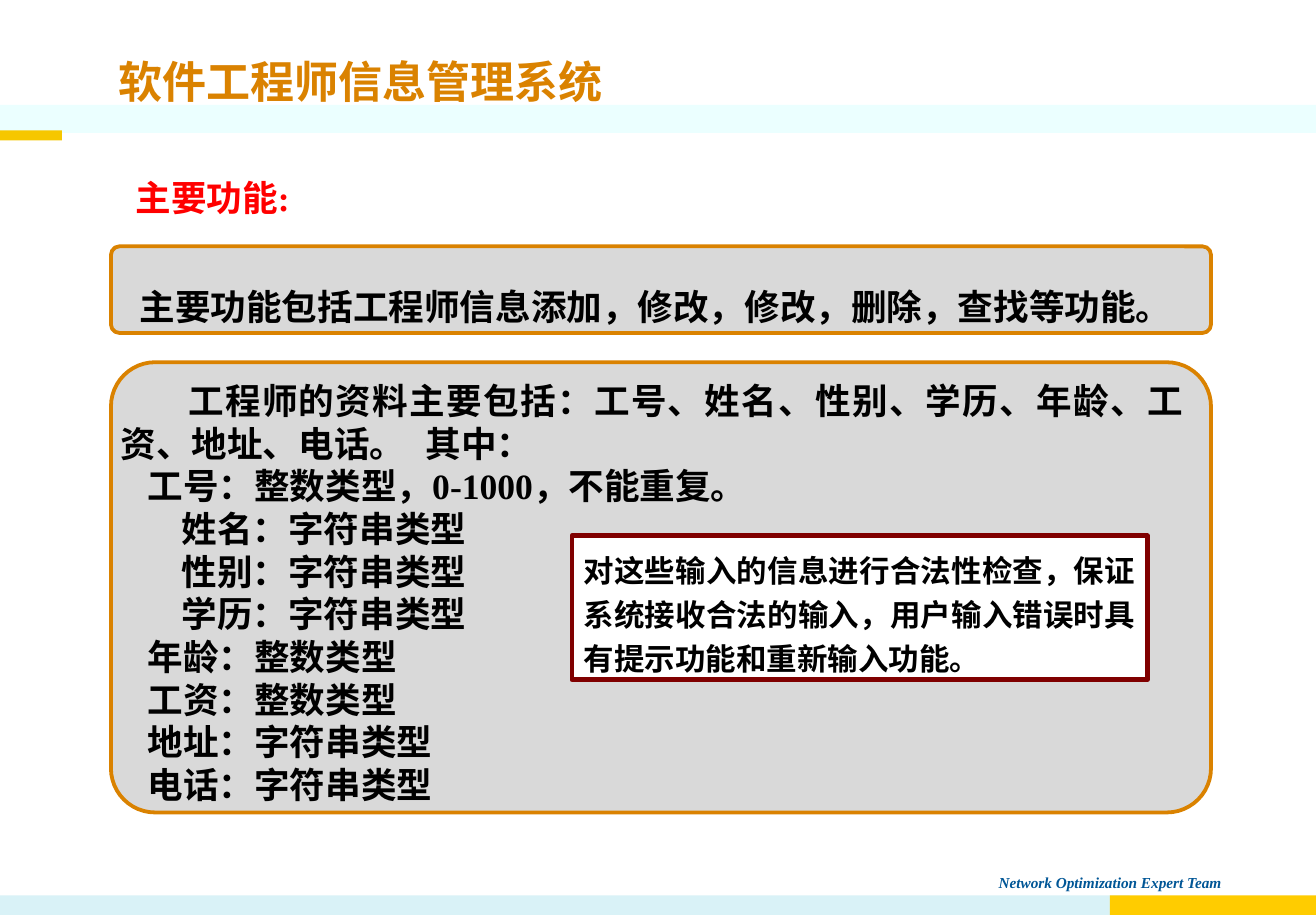
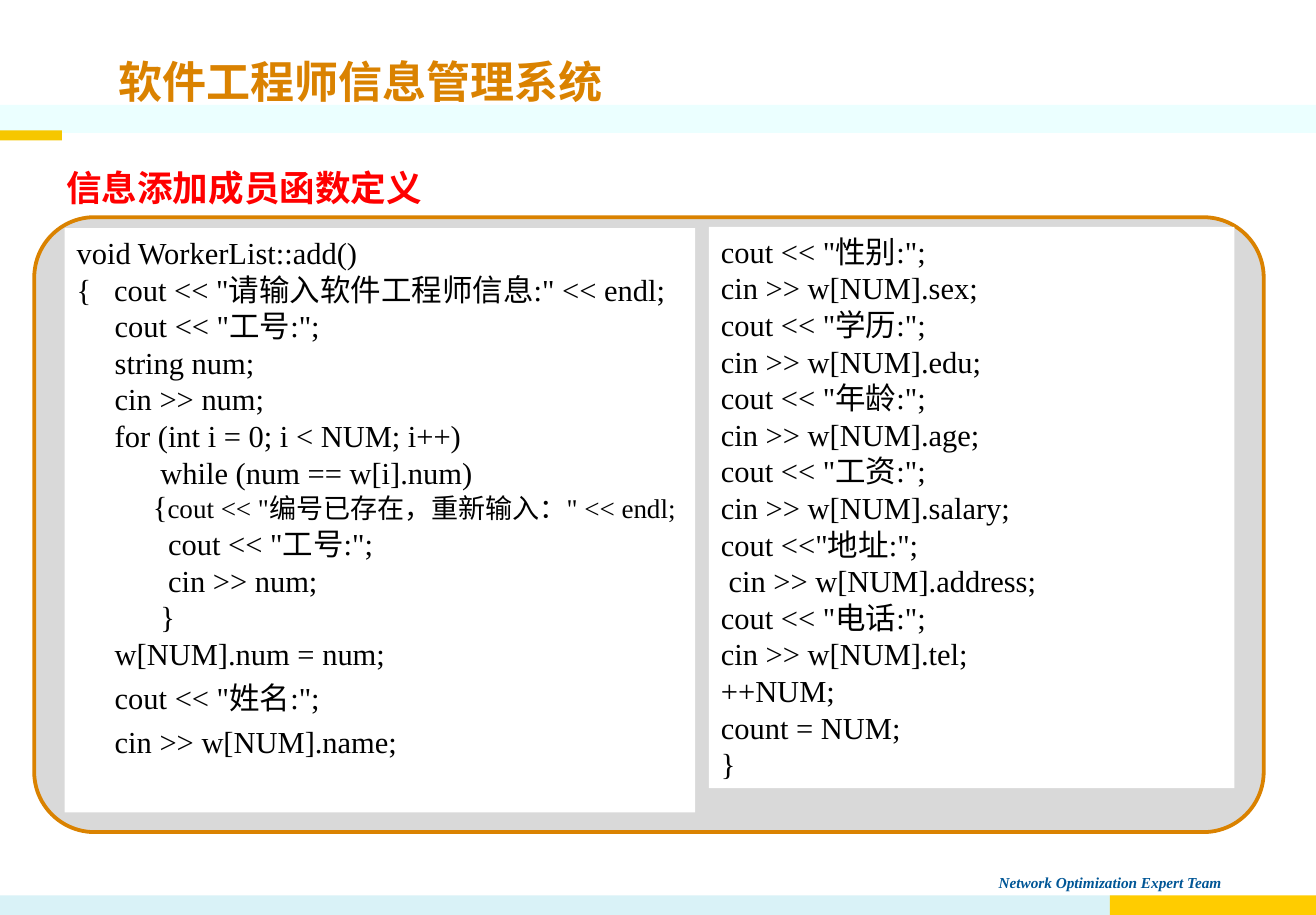
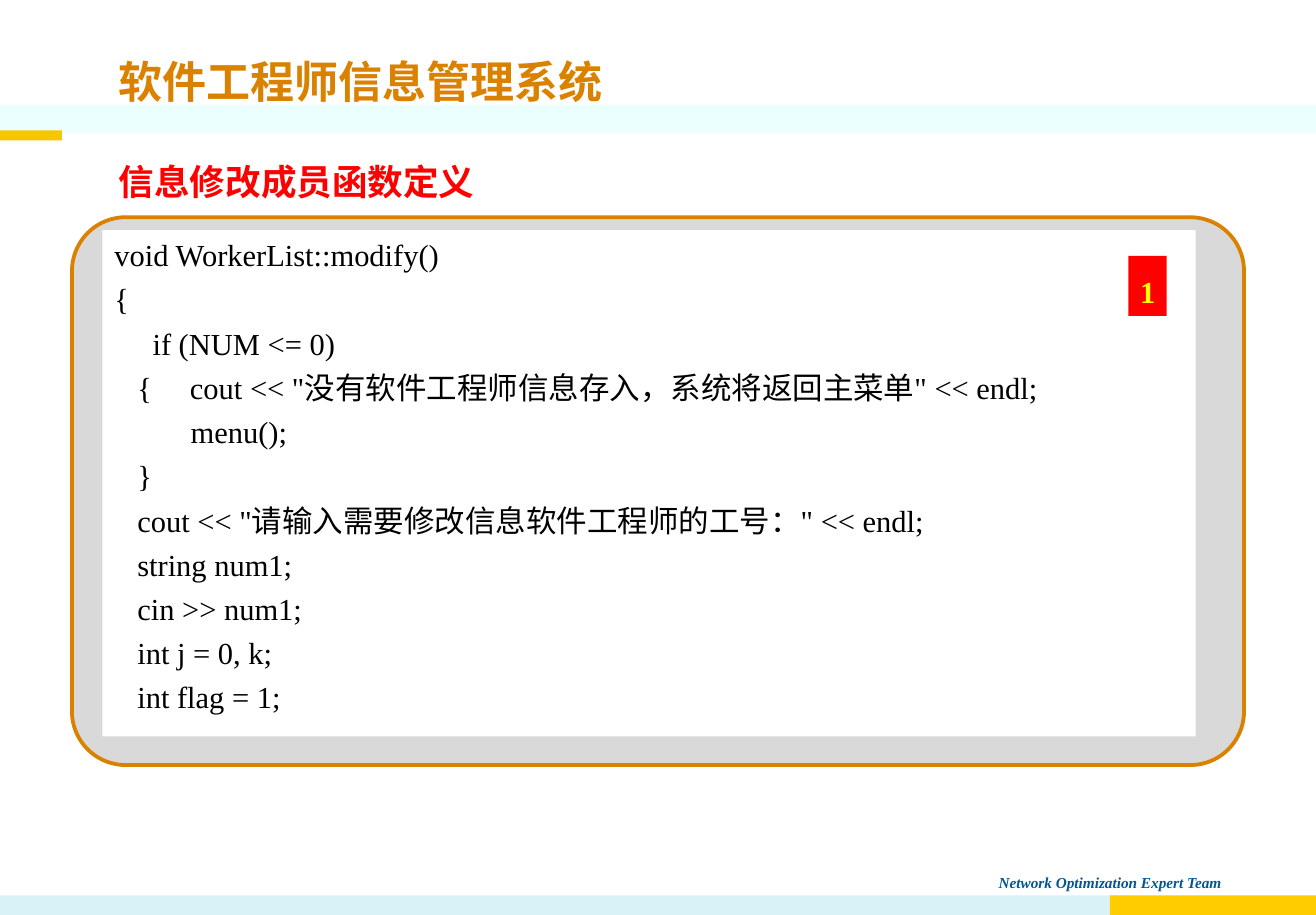
import pptx
import pptx.util
import pptx.dml.color
import pptx.enum.shapes
import pptx.enum.text
import pptx.oxml.ns
import lxml.etree

Pt = pptx.util.Pt
SHAPE = pptx.enum.shapes.MSO_SHAPE
ALIGN = pptx.enum.text.PP_ALIGN
qn = pptx.oxml.ns.qn

LATIN, CJK = "Times New Roman", "Noto Sans CJK SC"
ORANGE, RED, BLACK, WHITE, GREY = "DA8200", "FF0000", "000000", "FFFFFF", "D9D9D9"
TITLE = "软件工程师信息管理系统"
SLIDE_W, SLIDE_H = 776.9, 540


def add_box(slide, left, top, width, height, fill=None, line=None, line_width=2.25,
            rounded=False, insets=(7.2, 3.6, 7.2, 3.6)):
    """Add a rectangle, a rounded panel or, without fill, a text box."""
    place = [Pt(n) for n in (left, top, width, height)]
    if fill:
        kind = SHAPE.ROUNDED_RECTANGLE if rounded else SHAPE.RECTANGLE
        box = slide.shapes.add_shape(kind, *place)
        box.shadow.inherit = False
        box.fill.solid()
        box.fill.fore_color.rgb = pptx.dml.color.RGBColor.from_string(fill)
        if rounded:
            box.adjustments[0] = 0.098
        if line:
            box.line.color.rgb = pptx.dml.color.RGBColor.from_string(line)
            box.line.width = Pt(line_width)
        else:
            box.line.fill.background()
    else:
        box = slide.shapes.add_textbox(*place)
    frame = box.text_frame
    frame.word_wrap = True
    frame.vertical_anchor = pptx.enum.text.MSO_ANCHOR.TOP
    frame.margin_left, frame.margin_top, frame.margin_right, frame.margin_bottom = map(Pt, insets)
    return box


def write(shape, text, size=18, color=BLACK, bold=False, italic=False, font=LATIN,
          align=ALIGN.LEFT, spacing=None, before=0, margin=0, indent=0, tab=None, joined=False):
    """Write one paragraph, or with joined one more run of the last paragraph."""
    frame = shape.text_frame
    paragraph = frame.paragraphs[-1]
    if not joined:
        if paragraph.runs:
            paragraph = frame.add_paragraph()
        properties = paragraph._p.get_or_add_pPr()
        properties.set("marL", str(Pt(margin)))
        properties.set("indent", str(Pt(indent)))
        if tab:
            stops = lxml.etree.SubElement(properties, qn("a:tabLst"))
            lxml.etree.SubElement(stops, qn("a:tab"), pos=str(Pt(tab)), algn="l")
        paragraph.alignment = align
        paragraph.line_spacing = Pt(spacing or size * 1.2)
        paragraph.space_before = Pt(before)
    run = paragraph.add_run()
    run.text = text
    run.font.size = Pt(size)
    run.font.bold = bold
    run.font.italic = italic
    run.font.color.rgb = pptx.dml.color.RGBColor.from_string(color)
    run.font.name = font
    lxml.etree.SubElement(run._r.get_or_add_rPr(), qn("a:ea"), typeface=CJK)


deck = pptx.Presentation()
deck.slide_width, deck.slide_height = Pt(SLIDE_W), Pt(SLIDE_H)
layout = deck.slide_layouts[5]
features, adding, modifying = [deck.slides.add_slide(layout) for _ in range(3)]

# Shared bands and footer, built once and moved to the layout
bands = [
    add_box(features, 0, 61.9, SLIDE_W, 16.6, "EBFFFF"),
    add_box(features, 0, 528.5, 667, 11.5, "D9F2F7"),
    add_box(features, 655.2, 528.5, SLIDE_W - 655.2, 11.5, "FFCC00"),
    add_box(features, 0, 77, 36.5, 5.8, "F6C700"),
]
footer = add_box(features, 582.5, 511.7, 194, 18)
write(footer, "Network Optimization Expert Team", size=9, color="005696", bold=True, italic=True)
for part in bands + [footer]:
    layout.shapes._spTree.append(part._element)

# Shared title place
for holder in list(layout.placeholders):
    if holder.placeholder_format.idx:
        holder._element.getparent().remove(holder._element)
    else:
        holder.left, holder.top, holder.width, holder.height = Pt(62.6), Pt(26), Pt(377), Pt(42)

# Title and red heading of each slide
for slide, heading, left, top in (
    (features, "主要功能:", 73, 100),
    (adding, "信息添加成员函数定义", 32, 94.5),
    (modifying, "信息修改成员函数定义", 63, 91),
):
    title = slide.shapes.title
    title.text_frame.vertical_anchor = pptx.enum.text.MSO_ANCHOR.TOP
    title.text_frame.auto_size = pptx.enum.text.MSO_AUTO_SIZE.NONE
    write(title, TITLE, size=26, color=ORANGE, bold=True, font=CJK, spacing=34)
    write(add_box(slide, left, top, 240, 32), heading, size=21, color=RED, bold=True)

# Slide 1: summary panel
summary = add_box(features, 65.5, 145.4, 649.4, 51.1, GREY, ORANGE, rounded=True,
                  insets=(15.5, 21.3, 0, 0))
write(summary, "主要功能包括工程师信息添加，修改，修改，删除，查找等功能。", size=21, bold=True)

# Slide 1: record fields
add_box(features, 65.5, 213.8, 649.4, 265.7, GREY, ORANGE, rounded=True)
fields = add_box(features, 64.1, 220, 641.5, 259)
write(fields, "工程师的资料主要包括：工号、姓名、性别、学历、年龄、工资、地址、电话。\t其中：",
      size=21, bold=True, align=ALIGN.JUSTIFY, indent=40, tab=216)
for field, margin in (
    ("工号：整数类型，0-1000，不能重复。", 16),
    ("姓名：字符串类型", 36),
    ("性别：字符串类型", 36),
    ("学历：字符串类型", 36),
    ("年龄：整数类型", 16),
    ("工资：整数类型", 16),
    ("地址：字符串类型", 16),
    ("电话：字符串类型", 16),
):
    write(fields, field, size=21, bold=True, align=ALIGN.JUSTIFY, margin=margin)

# Slide 1: note on input checks
check_note = add_box(features, 337.5, 316.1, 340, 85, WHITE, "800000", 2.5,
                     insets=(7.2, 5.1, 7.2, 0))
write(check_note, "对这些输入的信息进行合法性检查，保证系统接收合法的输入，"
      "用户输入错误时具有提示功能和重新输入功能。", bold=True, align=ALIGN.JUSTIFY, spacing=26)

# Slide 2: code of add() in two columns
add_box(adding, 20.2, 128.2, 725.8, 362.9, GREY, ORANGE, rounded=True)
add_start = add_box(adding, 38.2, 134.6, 372.2, 344.9, WHITE)
for code in (
    'void WorkerList::add()',
    '{   cout << "请输入软件工程师信息:" << endl;',
    '     cout << "工号:";',
    '     string num;',
    '     cin >> num;',
    '     for (int i = 0; i < NUM; i++)',
    '           while (num == w[i].num)',
):
    write(add_start, code, align=ALIGN.JUSTIFY)
write(add_start, '          {', align=ALIGN.JUSTIFY, spacing=20.5)
write(add_start, 'cout << "编号已存在，重新输入：" << endl;', size=16, joined=True)
for code, before in (
    ('            cout << "工号:";', 0),
    ('            cin >> num;', 0),
    ('           }', 0),
    ('     w[NUM].num = num;', 0),
    ('     cout << "姓名:";', 4.5),
    ('     cin >> w[NUM].name;', 4.5),
):
    write(add_start, code, align=ALIGN.JUSTIFY, before=before)

add_end = add_box(adding, 418.5, 133.9, 310.2, 331.2, WHITE)
for code in (
    'cout << "性别:";',
    'cin >> w[NUM].sex;',
    'cout << "学历:";',
    'cin >> w[NUM].edu;',
    'cout << "年龄:";',
    'cin >> w[NUM].age;',
    'cout << "工资:";',
    'cin >> w[NUM].salary;',
    'cout <<"地址:";',
    ' cin >> w[NUM].address;',
    'cout << "电话:";',
    'cin >> w[NUM].tel;',
    '++NUM;',
    'count = NUM;',
    '}',
):
    write(add_end, code, align=ALIGN.JUSTIFY)

# Slide 3: code of modify() with its part number
add_box(modifying, 42.5, 128.2, 691.9, 323.3, GREY, ORANGE, rounded=True)
modify_code = add_box(modifying, 60.5, 135.8, 645.3, 298.8, WHITE)
for row, code in enumerate((
    'void WorkerList::modify()',
    '{',
    '     if (NUM <= 0)',
    '   {     cout << "没有软件工程师信息存入，系统将返回主菜单" << endl;',
    '          menu();',
    '   }',
    '   cout << "请输入需要修改信息软件工程师的工号：" << endl;',
    '   string num1;',
    '   cin >> num1;',
    '   int j = 0, k;',
    '   int flag = 1;',
)):
    write(modify_code, code, align=ALIGN.JUSTIFY, before=4.5 if row else 0)
part_number = add_box(modifying, 666.2, 151, 22.6, 35.4, RED, insets=(0, 6.6, 0, 0))
write(part_number, "1", color="FFFF00", bold=True, align=ALIGN.CENTER, spacing=25)

deck.save("out.pptx")
